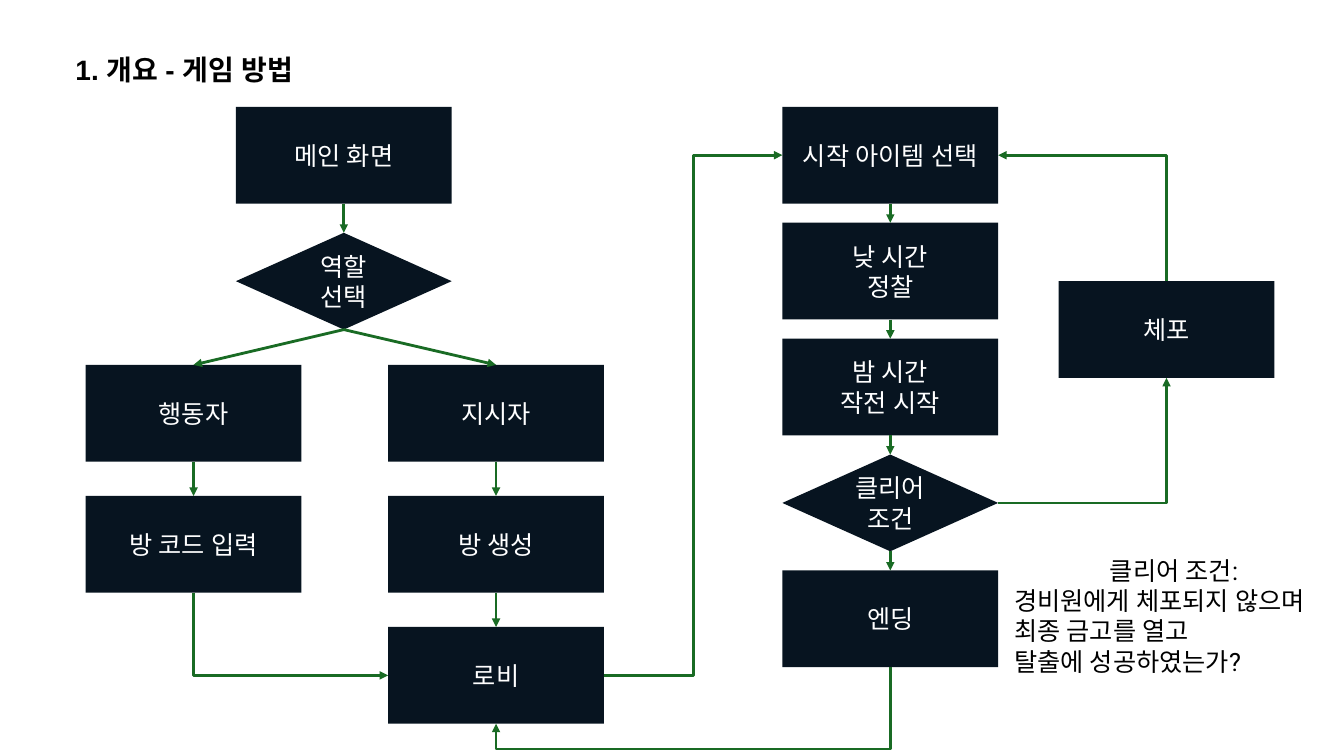
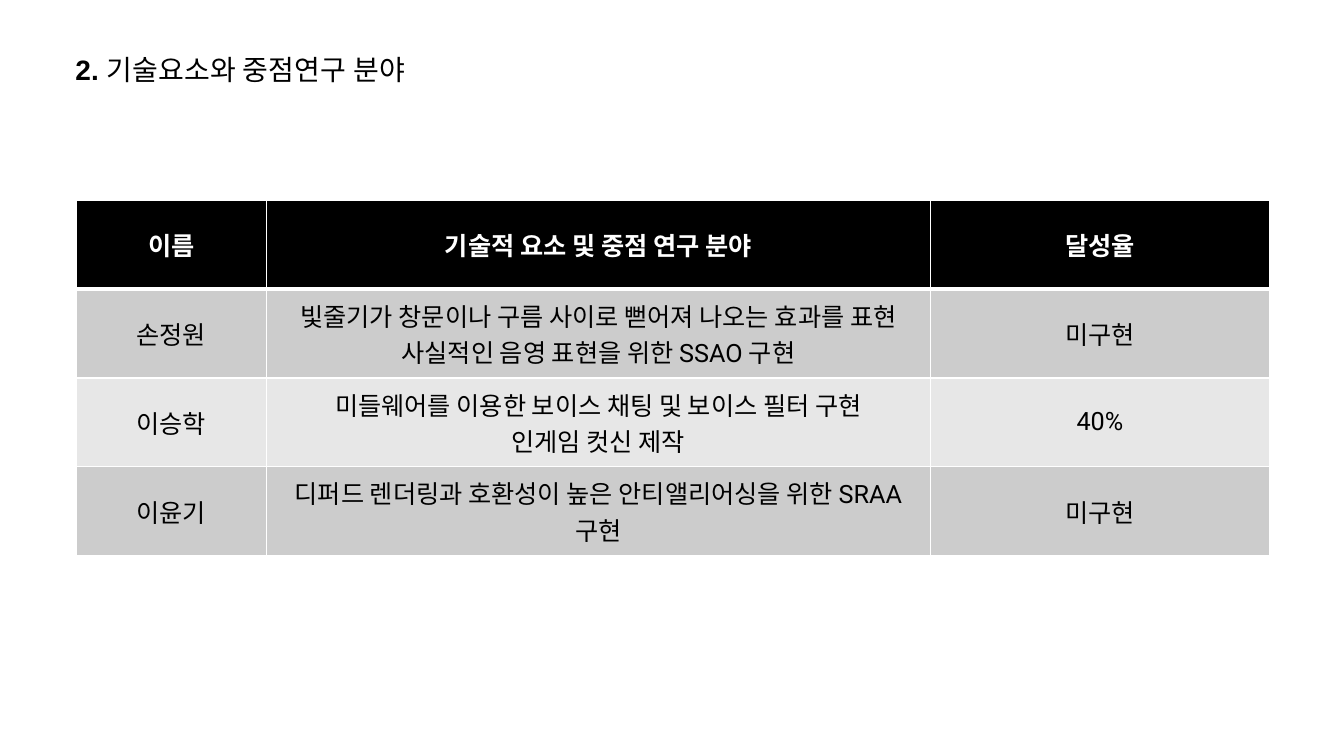
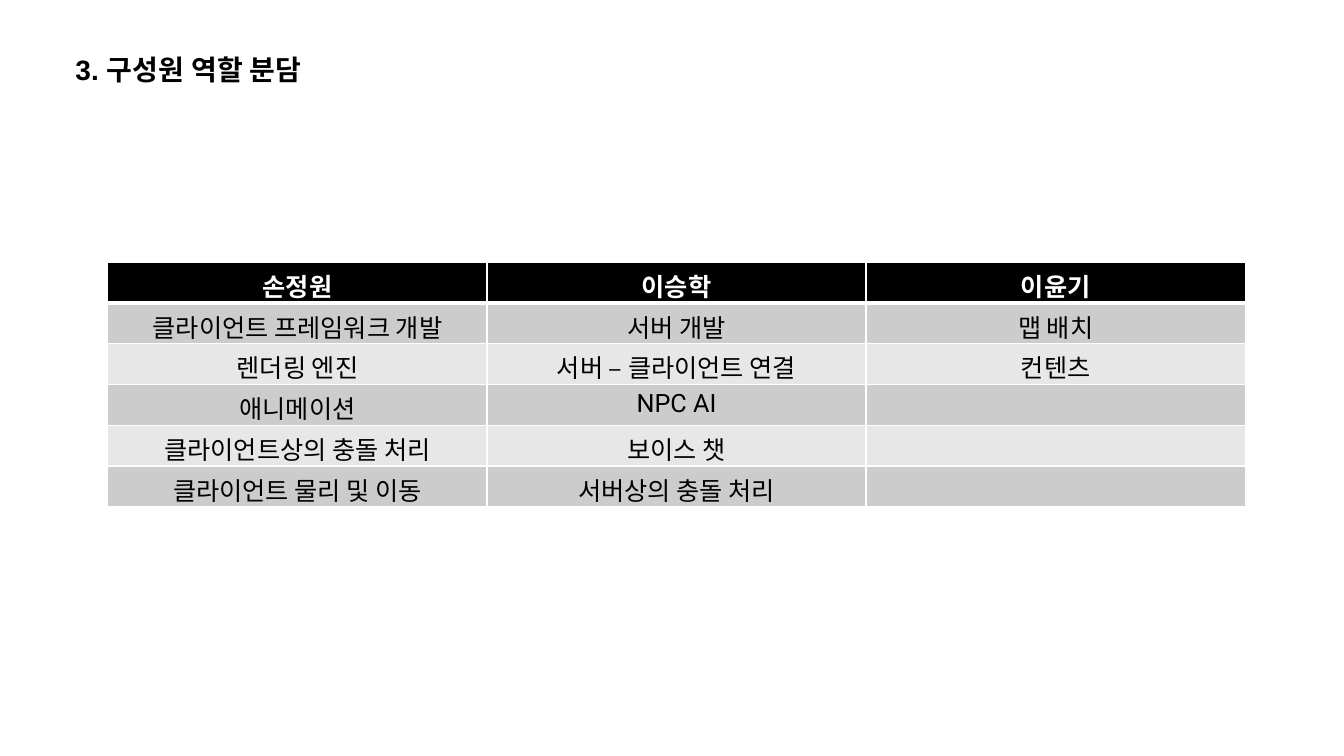
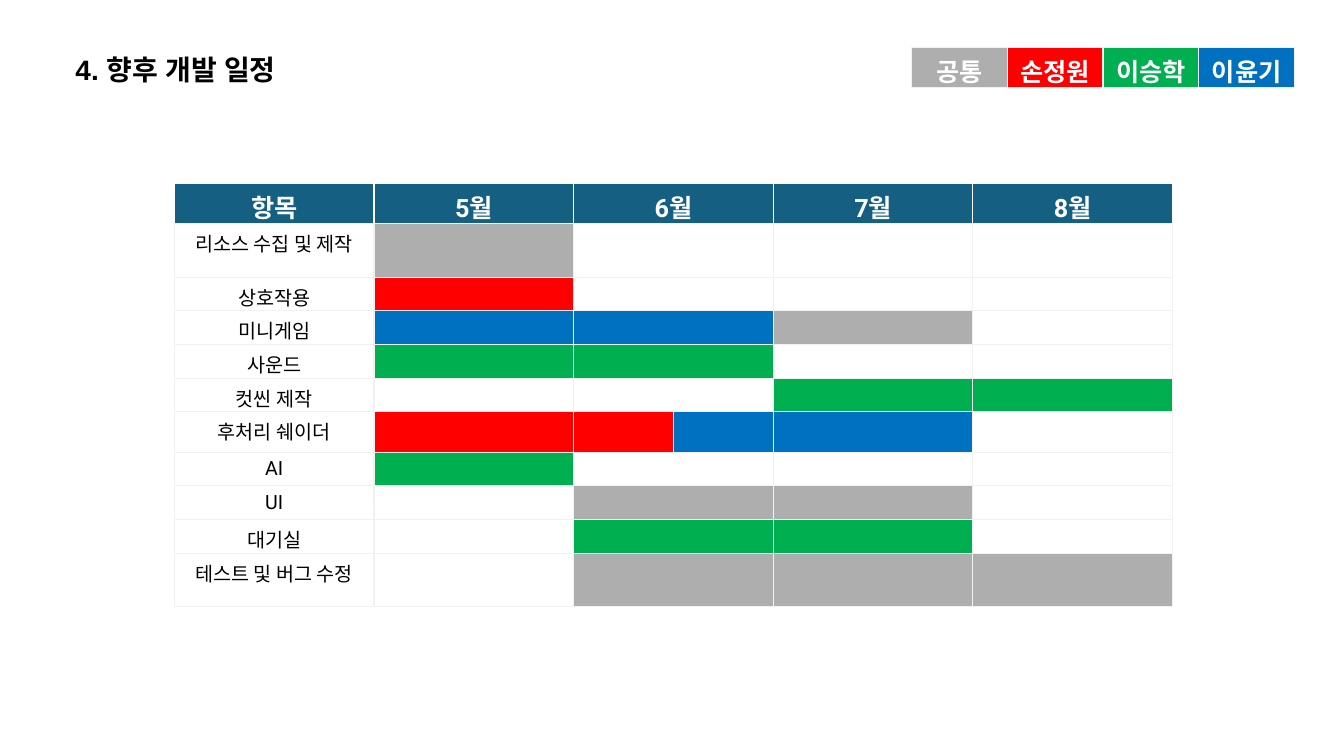
from dataclasses import dataclass

from lxml.etree import SubElement
from pptx import Presentation
from pptx.dml.color import RGBColor
from pptx.enum.shapes import MSO_CONNECTOR, MSO_SHAPE
from pptx.enum.text import MSO_ANCHOR, MSO_AUTO_SIZE, PP_ALIGN
from pptx.oxml.ns import qn
from pptx.util import Inches, Pt


@dataclass(frozen=True)
class Theme:
    heading_font: str = "Arial"
    body_font: str = "Roboto"
    title_size: int = 20
    body_size: int = 18
    small_size: int = 14
    black: str = "000000"
    white: str = "FFFFFF"
    box: str = "071420"
    arrow: str = "196B24"
    band_dark: str = "CCCCCC"
    band_light: str = "E7E7E7"
    grid: str = "F1F1F1"
    schedule_head: str = "156082"
    shared: str = "AEAEAE"
    red: str = "FF0000"
    green: str = "00B050"
    blue: str = "0070C0"


T = Theme()
TOP, LEFT, BOTTOM, RIGHT = range(4)
BOX_W, BOX_H = 2.14, 0.96


def rgb(value):
    return RGBColor.from_string(value)


def set_font(font, size, color, bold=False, name=T.body_font, east_asian=None):
    font.size, font.bold = Pt(size), bold
    font.color.rgb = rgb(color)
    font.name = name
    if east_asian:
        SubElement(font._rPr, qn("a:ea"), typeface=east_asian)


def add_text_box(slide, left, top, width, height):
    tf = slide.shapes.add_textbox(
        Inches(left), Inches(top), Inches(width), Inches(height)).text_frame
    tf.word_wrap = True
    tf.auto_size = MSO_AUTO_SIZE.SHAPE_TO_FIT_TEXT
    return tf


def add_title(slide, text, width=3.78, light_text=""):
    """Bold heading, optionally followed by a part in the regular body font."""
    p = add_text_box(slide, 0.65, 0.47, width, 0.44).paragraphs[0]
    for part, bold, name in ((text, True, T.heading_font),
                             (light_text, False, T.body_font)):
        if part:
            r = p.add_run()
            r.text = part
            set_font(r.font, T.title_size, T.black, bold, name, T.body_font)


def add_step(slide, text, left, top, shape=MSO_SHAPE.RECTANGLE):
    sp = slide.shapes.add_shape(
        shape, Inches(left), Inches(top), Inches(BOX_W), Inches(BOX_H))
    sp.shadow.inherit = False
    sp.fill.solid()
    sp.fill.fore_color.rgb = rgb(T.box)
    sp.line.fill.background()
    tf = sp.text_frame
    tf.word_wrap = True
    tf.vertical_anchor = MSO_ANCHOR.MIDDLE
    tf.text = text
    for p in tf.paragraphs:
        p.alignment = PP_ALIGN.CENTER
        set_font(p.font, T.body_size, T.white, east_asian=T.body_font)
    return sp


def style_arrow(cxn):
    cxn.line.color.rgb = rgb(T.arrow)
    cxn.line.width = Pt(2)
    SubElement(cxn.line._get_or_add_ln(), qn("a:tailEnd"), type="triangle")
    SubElement(cxn.element.spPr, qn("a:effectLst"))


def add_arrow(slide, start, end):
    """Straight arrow from the bottom of one step to the top of the next."""
    cxn = slide.shapes.add_connector(MSO_CONNECTOR.STRAIGHT, 0, 0, 0, 0)
    cxn.begin_connect(start, BOTTOM)
    cxn.end_connect(end, TOP)
    style_arrow(cxn)


def side_point(sp, side):
    x = {LEFT: 0, RIGHT: sp.width}.get(side, sp.width // 2)
    y = {TOP: 0, BOTTOM: sp.height}.get(side, sp.height // 2)
    return sp.left + x, sp.top + y


def add_bent_arrow(slide, start, start_side, end, end_side, bend=0.5):
    """Elbow arrow; one that sets off vertically is a turned horizontal one."""
    x1, y1 = side_point(start, start_side)
    x2, y2 = side_point(end, end_side)
    rotation = {BOTTOM: 90, TOP: 270}.get(start_side, 0)
    if rotation:
        cx, cy = (x1 + x2) // 2, (y1 + y2) // 2
        sign = 1 if rotation == 90 else -1
        half_w, half_h = sign * (y2 - y1) // 2, sign * (x1 - x2) // 2
        x1, x2 = cx - half_w, cx + half_w
        y1, y2 = cy - half_h, cy + half_h
    cxn = slide.shapes.add_connector(MSO_CONNECTOR.ELBOW, x1, y1, x2, y2)
    if rotation:
        cxn.element.spPr.find(qn("a:xfrm")).set("rot", str(rotation * 60000))
    geom = cxn.element.spPr.find(qn("a:prstGeom"))
    if start_side % 2 != end_side % 2:
        geom.set("prst", "bentConnector2")
    elif bend != 0.5:
        SubElement(geom.find(qn("a:avLst")), qn("a:gd"),
                   name="adj1", fmla=f"val {round(bend * 100000)}")
    style_arrow(cxn)


def set_borders(cell, color, top=1, bottom=1):
    tcPr = cell._tc.get_or_add_tcPr()
    for edge, width in (("L", 1), ("R", 1), ("T", top), ("B", bottom)):
        ln = SubElement(tcPr, qn(f"a:ln{edge}"), w=str(Pt(width)))
        fill = SubElement(ln, qn("a:solidFill"))
        SubElement(fill, qn("a:srgbClr"), val=color)


def style_cell(cell, text, fill, size=T.body_size, color=T.black, bold=False,
               anchor=MSO_ANCHOR.TOP):
    cell.fill.solid()
    cell.fill.fore_color.rgb = rgb(fill)
    cell.vertical_anchor = anchor
    tf = cell.text_frame
    tf.text = text
    for p in tf.paragraphs:
        p.alignment = PP_ALIGN.CENTER
        set_font(p.font, size, color, bold)
        if not text:
            SubElement(p._p, qn("a:endParaRPr"), sz=str(size * 100))


def add_grid(slide, left, top, cols, rows):
    table = slide.shapes.add_table(
        len(rows), len(cols), Inches(left), Inches(top),
        Inches(sum(cols)), Inches(sum(rows))).table
    table.first_row = table.horz_banding = False
    for column, width in zip(table.columns, cols):
        column.width = Inches(width)
    for row, height in zip(table.rows, rows):
        row.height = Inches(height)
    return table


def add_banded_table(slide, left, top, cols, row_height, data,
                     anchor=MSO_ANCHOR.TOP):
    table = add_grid(slide, left, top, cols, [row_height] * len(data))
    for i, texts in enumerate(data):
        head = i == 0
        fill = T.black if head else (T.band_light, T.band_dark)[i % 2]
        for j, text in enumerate(texts):
            cell = table.cell(i, j)
            set_borders(cell, T.white, top=3 if i == 1 else 1,
                        bottom=3 if head else 1)
            style_cell(cell, text, fill, color=T.white if head else T.black,
                       bold=head, anchor=anchor)


def add_schedule(slide, left, top, cols, months, tasks):
    """Tasks hold a name, a row height and five fills; columns 2 and 3 are
    halves of one month, merged unless their fills differ."""
    rows = [0.39] + [height for _, height, _ in tasks]
    table = add_grid(slide, left, top, cols, rows)
    for j, text in enumerate(months):
        cell = table.cell(0, j)
        set_borders(cell, T.white)
        style_cell(cell, text, T.schedule_head, color=T.white, bold=True)
    table.cell(0, 2).merge(table.cell(0, 3))
    for i, (name, _, fills) in enumerate(tasks, 1):
        for j, fill in enumerate((None, *fills)):
            cell = table.cell(i, j)
            set_borders(cell, T.grid)
            style_cell(cell, "" if j else name, fill or T.white, T.small_size)
        if fills[1] == fills[2]:
            table.cell(i, 2).merge(table.cell(i, 3))


def add_legend(slide, left, top, entries):
    table = add_grid(slide, left, top, [0.95] * len(entries), [0.4])
    for j, (name, fill) in enumerate(entries):
        cell = table.cell(0, j)
        set_borders(cell, T.grid)
        style_cell(cell, name, fill, color=T.white, bold=True)


def build_flow(slide):
    add_title(slide, "1. 개요 - 게임 방법", 2.75)
    diamond = MSO_SHAPE.DIAMOND
    main_screen = add_step(slide, "메인 화면", 2.34, 1.06)
    role = add_step(slide, "역할 선택", 2.34, 2.31, diamond)
    actor, code = [add_step(slide, text, 0.85, 3.62 + 1.3 * i)
                   for i, text in enumerate(("행동자", "방 코드 입력"))]
    director, room, lobby = [
        add_step(slide, text, 3.85, 3.62 + 1.3 * i)
        for i, text in enumerate(("지시자", "방 생성", "로비"))]
    game = [add_step(slide, text, 7.76, 1.06 + 1.15 * i, shape)
            for i, (text, shape) in enumerate((
                ("시작 아이템 선택", MSO_SHAPE.RECTANGLE),
                ("낮 시간\n정찰", MSO_SHAPE.RECTANGLE),
                ("밤 시간\n작전 시작", MSO_SHAPE.RECTANGLE),
                ("클리어 조건", diamond),
                ("엔딩", MSO_SHAPE.RECTANGLE)))]
    items, _, _, clear, ending = game
    arrest = add_step(slide, "체포", 10.5, 2.79)

    for start, end in ((main_screen, role), (role, actor), (role, director),
                       (actor, code), (director, room), (room, lobby),
                       *zip(game, game[1:])):
        add_arrow(slide, start, end)
    add_bent_arrow(slide, code, BOTTOM, lobby, LEFT)
    add_bent_arrow(slide, lobby, RIGHT, items, LEFT)
    add_bent_arrow(slide, clear, RIGHT, arrest, BOTTOM)
    add_bent_arrow(slide, arrest, TOP, items, RIGHT)
    add_bent_arrow(slide, ending, BOTTOM, lobby, BOTTOM, bend=1.45)

    tf = add_text_box(slide, 9.96, 5.46, 3.37, 1.31)
    tf.text = ("클리어 조건:\n경비원에게 체포되지 않으며 최종 금고를 열고\n"
               "탈출에 성공하였는가?")
    for p in tf.paragraphs:
        set_font(p.font, T.body_size, T.black, east_asian=T.body_font)
    tf.paragraphs[0].alignment = PP_ALIGN.CENTER


def build_research(slide):
    add_title(slide, "2. ", light_text="기술요소와 중점연구 분야")
    add_banded_table(slide, 0.76, 1.99, (1.88, 6.59, 3.36), 0.88, (
        ("이름", "기술적 요소 및 중점 연구 분야", "달성율"),
        ("손정원", "빛줄기가 창문이나 구름 사이로 뻗어져 나오는 효과를 표현\n"
                 "사실적인 음영 표현을 위한 SSAO 구현", "미구현"),
        ("이승학", "미들웨어를 이용한 보이스 채팅 및 보이스 필터 구현\n"
                 "인게임 컷신 제작", "40%"),
        ("이윤기", "디퍼드 렌더링과 호환성이 높은 안티앨리어싱을 위한 SRAA구현",
         "미구현"),
    ), MSO_ANCHOR.MIDDLE)


def build_roles(slide):
    add_title(slide, "3. 구성원 역할 분담")
    add_banded_table(slide, 1.07, 2.6, [3.76] * 3, 2.43 / 6, (
        ("손정원", "이승학", "이윤기"),
        ("클라이언트 프레임워크 개발", "서버 개발", "맵 배치"),
        ("렌더링 엔진", "서버 – 클라이언트 연결", "컨텐츠"),
        ("애니메이션", "NPC AI", ""),
        ("클라이언트상의 충돌 처리", "보이스 챗", ""),
        ("클라이언트 물리 및 이동", "서버상의 충돌 처리", ""),
    ))


def build_plan(slide):
    add_title(slide, "4. 향후 개발 일정", 4.16)
    shared, red, green, blue, free = T.shared, T.red, T.green, T.blue, None
    add_schedule(
        slide, 1.73, 1.82, (1.98, 1.98, 0.99, 0.99, 1.98, 1.98),
        ("항목", "5월", "6월", "", "7월", "8월"), (
            ("리소스 수집 및 제작", 0.53, (shared, free, free, free, free)),
            ("상호작용", 0.33, (red, free, free, free, free)),
            ("미니게임", 0.33, (blue, blue, blue, shared, free)),
            ("사운드", 0.33, (green, green, green, free, free)),
            ("컷씬 제작", 0.33, (free, free, free, green, green)),
            ("후처리 쉐이더", 0.4, (red, red, blue, blue, free)),
            ("AI", 0.33, (green, free, free, free, free)),
            ("UI", 0.33, (free, shared, shared, shared, free)),
            ("대기실", 0.33, (free, green, green, green, free)),
            ("테스트 및 버그 수정", 0.53, (free, shared, shared, shared, shared)),
        ))
    add_legend(slide, 9.04, 0.47, (("공통", shared), ("손정원", red),
                                   ("이승학", green), ("이윤기", blue)))


def main():
    prs = Presentation()
    prs.slide_width, prs.slide_height = Inches(13.33), Inches(7.5)
    for build in (build_flow, build_research, build_roles, build_plan):
        build(prs.slides.add_slide(prs.slide_layouts[6]))
    prs.save("out.pptx")


if __name__ == "__main__":
    main()
